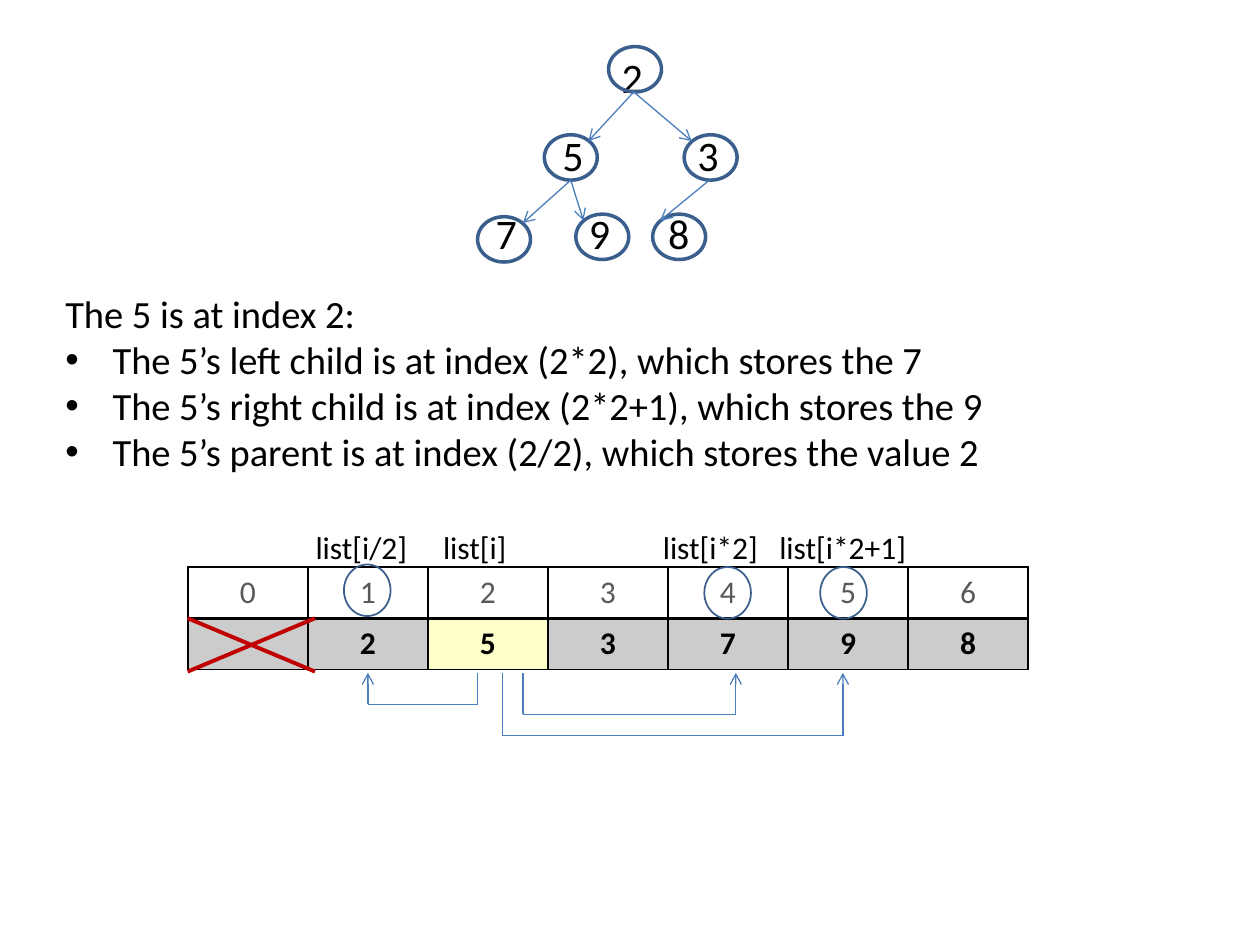
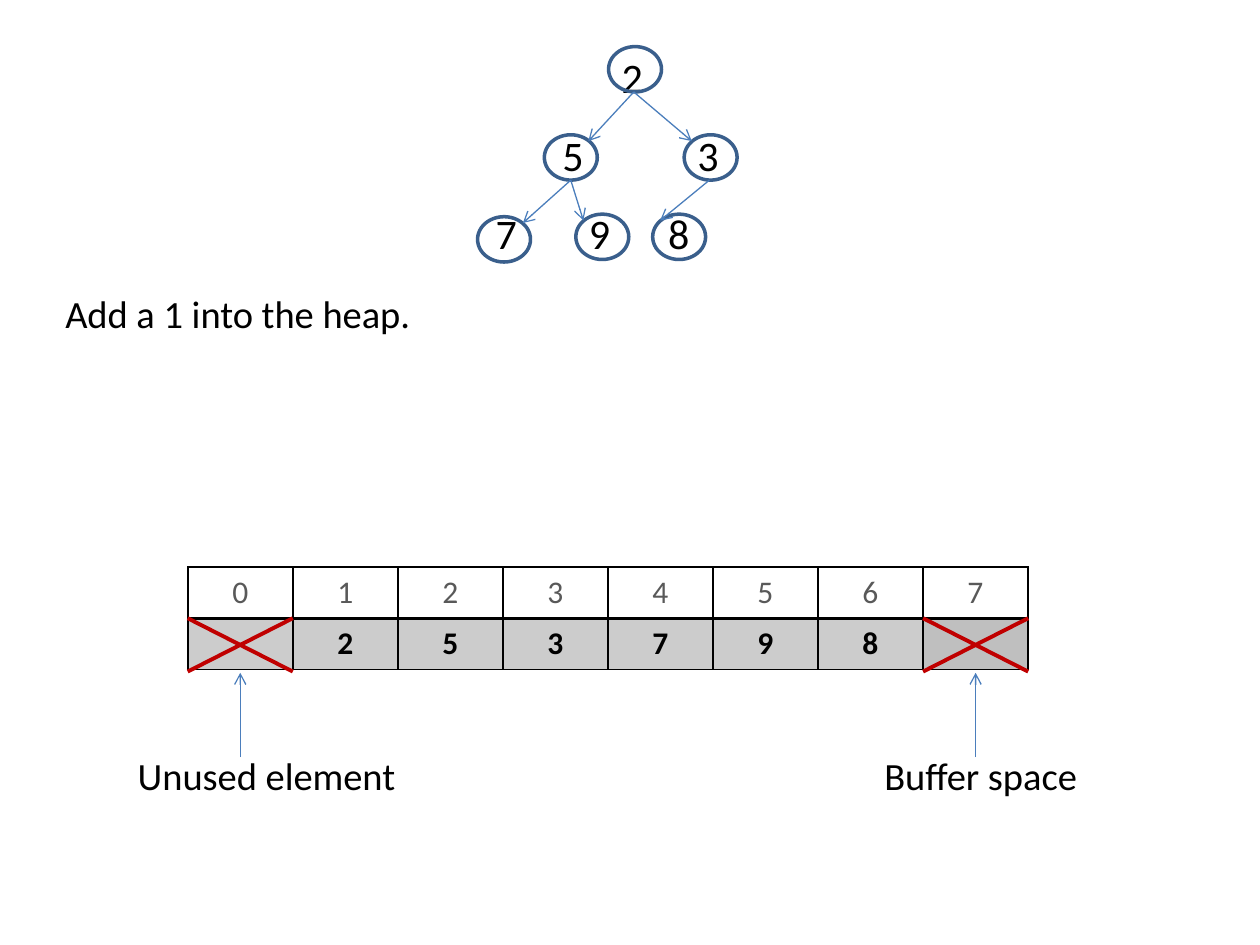
import pptx
import pptx.util
import pptx.dml.color
import pptx.enum.shapes
import pptx.enum.text
import pptx.oxml
import pptx.oxml.ns
import lxml.etree

COLORS = {"text": "000000", "index": "595959", "node": "3A5F8C", "arrow": "4B7EBC",
          "cross": "C00000", "shade": "000000", "current": "FFFF00", "buffer": "BFBFBF"}
FONT = "Calibri"
ALIGN = pptx.enum.text.PP_ALIGN
Pt = pptx.util.Pt
NODES = [(48.3, 3.7), (43.2, 10.7), (54.3, 10.7), (37.9, 17.2), (45.7, 17), (51.8, 17)]
EDGES = [(50.3, 7.3, 46.7, 11.2), (50.3, 7.3, 54.9, 11.2), (45.3, 14.3, 41.5, 17.7),
         (45.3, 14.3, 46.3, 17.5), (56.3, 14.3, 52.4, 17.5)]
LEVELS = [("\t2", [50.2]), ("\t5\t3", [45.5, 56.2]), ("\t7\t9\t8", [40.2, 47.6, 53.9])]
HEAP = ["", "2", "5", "3", "7", "9", "8"]
TABLE_LEFT, TABLE_TOP, TABLE_WIDTH, ROW_HEIGHT = 14.9, 45, 66.7, 4.07
INSET = 1


def rgb(name):
    return pptx.dml.color.RGBColor.from_string(COLORS[name])


def child(parent, tag, **attributes):
    return lxml.etree.SubElement(parent, pptx.oxml.ns.qn(tag), attributes)


def write(para, text, size=22, color="text", bold=False, align=ALIGN.LEFT, before=0,
          bullet=False, indent=0, tabs=(), tab_kind="ctr"):
    para.alignment, para.space_before = align, Pt(before)
    properties = para._p.get_or_add_pPr()
    if bullet:
        properties.set("marL", str(indent))
        properties.set("indent", str(-indent))
        child(properties, "a:buFont", typeface="Arial")
        child(properties, "a:buChar", char="•")
    if tabs:
        stops = child(properties, "a:tabLst")
        for stop in tabs:
            child(stops, "a:tab", pos=str(stop), algn=tab_kind)
    span = para.add_run()
    span.text = text
    span.font.name, span.font.size, span.font.bold = FONT, Pt(size), bold
    span.font.color.rgb = rgb(color)


class Board:
    """Draws heap elements on the current page, on a grid of 100 columns by 75 rows."""

    def __init__(self):
        self.deck = pptx.Presentation()
        self.deck.slide_width = pptx.util.Inches(10)
        self.deck.slide_height = pptx.util.Inches(7.5)
        self.page = None

    def new_page(self):
        self.page = self.deck.slides.add_slide(self.deck.slide_layouts[6])

    def grid(self, *lengths):
        return [round(length * self.deck.slide_width / 100) for length in lengths]

    def text(self, left, top, width, height, paragraphs, top_inset=0.5):
        box = self.page.shapes.add_textbox(*self.grid(left, top, width, height))
        frame = box.text_frame
        frame.word_wrap = True
        frame.margin_top = self.grid(top_inset)[0]
        for number, (text, style) in enumerate(paragraphs):
            para = frame.add_paragraph() if number else frame.paragraphs[0]
            stops = self.grid(*(stop - left - INSET for stop in style.get("tabs", ())))
            write(para, text, **{**style, "tabs": stops, "indent": self.grid(3.75)[0]})

    def ring(self, left, top, width, height, weight):
        ring = self.page.shapes.add_shape(pptx.enum.shapes.MSO_SHAPE.OVAL,
                                          *self.grid(left, top, width, height))
        ring.shadow.inherit = False
        ring.fill.background()
        ring.line.color.rgb, ring.line.width = rgb("node"), Pt(weight)

    def line(self, *ends, color="arrow", weight=0.75, arrow=False):
        line = self.page.shapes.add_connector(pptx.enum.shapes.MSO_CONNECTOR.STRAIGHT,
                                              *self.grid(*ends))
        line.line.color.rgb, line.line.width = rgb(color), Pt(weight)
        if arrow:
            child(line.line._get_or_add_ln(), "a:tailEnd", type="arrow")
        child(line._element.spPr, "a:effectLst")

    def route(self, start, end, depth):
        edge = 53.4
        self.line(start, edge, start, depth)
        self.line(start, depth, end, depth)
        self.line(end, depth, end, edge, arrow=True)

    def cross(self, left, width):
        top, bottom = TABLE_TOP + ROW_HEIGHT, 53.3
        for first, last in ((left, left + width), (left + width, left)):
            self.line(first, top, last, bottom, color="cross", weight=2.25)

    def tree(self):
        self.text(38.3, 2.5, 21.7, 20,
                  [(digits, {"size": 24, "before": 15.8, "tabs": stops})
                   for digits, stops in LEVELS], top_inset=1.55)
        for left, top in NODES:
            self.ring(left, top, 4.2, 3.6, 2)
        for edge in EDGES:
            self.line(*edge, arrow=True)

    def border(self, cell, bottom):
        properties = cell._tc.get_or_add_tcPr()
        for place, side in enumerate(("lnL", "lnR", "lnT", "lnB")):
            weight = bottom if side == "lnB" else 1
            edge = lxml.etree.Element(pptx.oxml.ns.qn("a:" + side), w=str(Pt(weight)))
            child(child(edge, "a:solidFill"), "a:srgbClr", val=COLORS["text"])
            properties.insert(place, edge)

    def array(self, values, special):
        table = self.page.shapes.add_table(
            2, len(values),
            *self.grid(TABLE_LEFT, TABLE_TOP, TABLE_WIDTH, 2 * ROW_HEIGHT)).table
        table.first_row = table.horz_banding = False
        for column, value in enumerate(values):
            table.columns[column].width = self.grid(TABLE_WIDTH / len(values))[0]
            index, item = table.cell(0, column), table.cell(1, column)
            index.fill.background()
            write(index.text_frame.paragraphs[0], str(column), size=18, color="index",
                  align=ALIGN.CENTER)
            if value:
                write(item.text_frame.paragraphs[0], value, size=18, bold=True,
                      align=ALIGN.CENTER)
            color = special.get(column, "shade")
            item.fill.solid()
            item.fill.fore_color.rgb = rgb(color)
            if color != "buffer":
                fill = item._tc.tcPr.find(".//" + pptx.oxml.ns.qn("a:srgbClr"))
                child(fill, "a:alpha", val="20000")
            self.border(index, 2)
            self.border(item, 1)


board = Board()

board.new_page()
board.tree()
facts = ["The 5’s left child is at index (2*2), which stores the 7",
         "The 5’s right child is at index (2*2+1), which stores the 9",
         "The 5’s parent is at index (2/2), which stores the value 2"]
labels = ("\tlist[i/2]\tlist[i]\tlist[i*2]\tlist[i*2+1]",
          {"size": 18, "before": 30.7, "tabs": [28.7, 37.7, 56.4, 66.9]})
board.text(4.2, 22.5, 91.7, 23.2, [("The 5 is at index 2:", {})]
           + [(fact, {"bullet": True}) for fact in facts] + [labels])
board.array(HEAP, {2: "current"})
board.cross(TABLE_LEFT, 10.1)
for start, end, depth in ((41.5, 58.4, 56.7), (39.9, 66.9, 58.4), (37.9, 29.2, 55.9)):
    board.route(start, end, depth)
for left, top in ((55.9, 45), (65.1, 45), (27.3, 44.8)):
    board.ring(left, top, 3.7, 4.1, 1)

board.new_page()
board.tree()
board.text(4.2, 22.5, 91.7, 4.7, [("Add a 1 into the heap.", {})])
board.array(HEAP + [""], {7: "buffer"})
cell_width = TABLE_WIDTH / 8
for left in (TABLE_LEFT, TABLE_LEFT + 7 * cell_width):
    board.cross(left, cell_width)
board.text(5.8, 59.2, 91.7, 4.7, [("\tUnused element\tBuffer space",
                                   {"tabs": [10.95, 70.2], "tab_kind": "l"})])
for column in (0, 7):
    center = TABLE_LEFT + (column + 0.5) * cell_width
    board.line(center, 60.1, center, 53.4, arrow=True)

board.deck.save("out.pptx")
